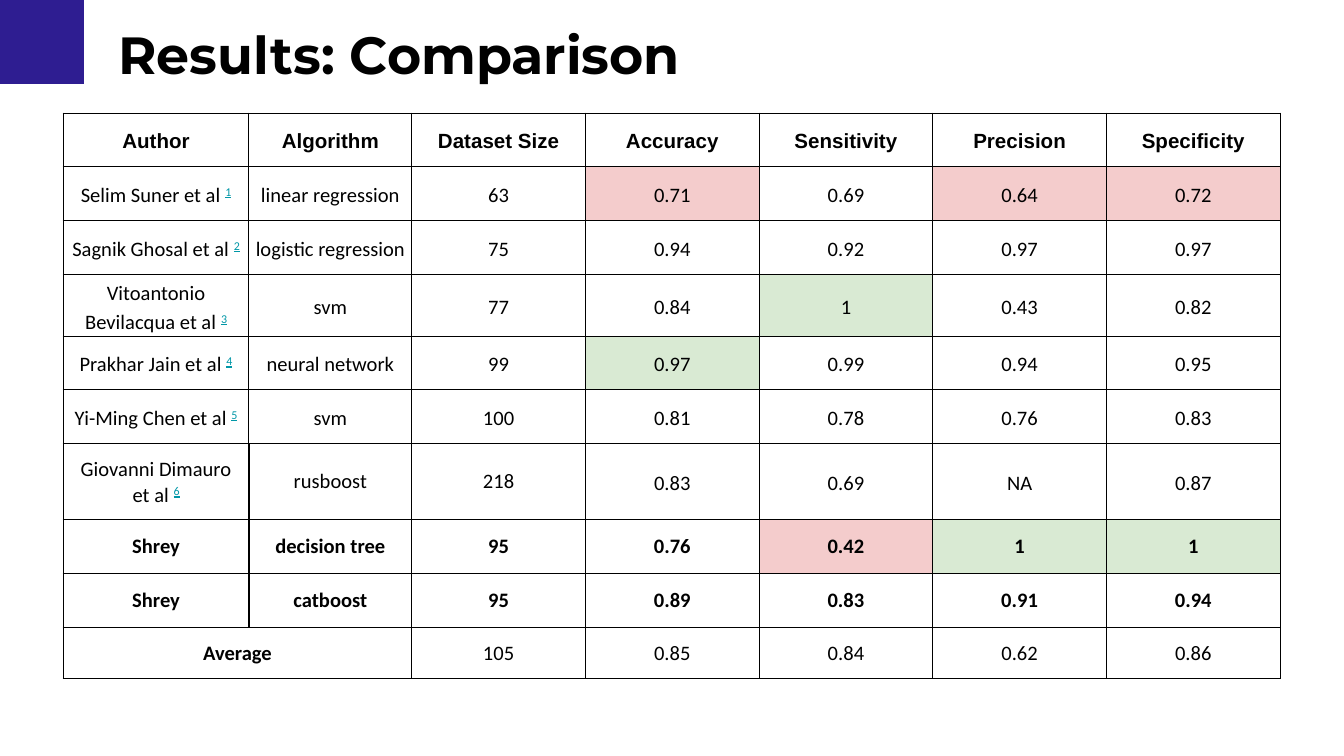
import pptx
import pptx.util
import pptx.dml.color
import pptx.enum.shapes
import pptx.enum.text
import pptx.oxml
import lxml.etree

Inches = pptx.util.Inches
Pt = pptx.util.Pt
RGBColor = pptx.dml.color.RGBColor

BLACK = RGBColor(0x00, 0x00, 0x00)
INDIGO = RGBColor(0x2E, 0x1D, 0x91)
TEAL = RGBColor(0x00, 0x97, 0xA7)
RED = RGBColor(0xF4, 0xCC, 0xCC)
GREEN = RGBColor(0xD9, 0xEA, 0xD3)

WIDTH = Inches(10)
HEIGHT = WIDTH * 9 // 16
COLS = [1.38, 1.21] + [1.29] * 5
ROWS = [0.4, 0.4, 0.4, 0.43, 0.4, 0.4, 0.55, 0.4, 0.4, 0.38]

RESULTS = [
    ["Author", "Algorithm", "Dataset Size", "Accuracy", "Sensitivity", "Precision", "Specificity"],
    ["Selim Suner et al ", "linear regression", "63", "0.71", "0.69", "0.64", "0.72"],
    ["Sagnik Ghosal et al ", "logistic regression", "75", "0.94", "0.92", "0.97", "0.97"],
    ["Vitoantonio Bevilacqua et al ", "svm", "77", "0.84", "1", "0.43", "0.82"],
    ["Prakhar Jain et al ", "neural network", "99", "0.97", "0.99", "0.94", "0.95"],
    ["Yi-Ming Chen et al ", "svm", "100", "0.81", "0.78", "0.76", "0.83"],
    ["Giovanni Dimauro et al ", "rusboost", "218", "0.83", "0.69", "NA", "0.87"],
    ["Shrey", "decision tree", "95", "0.76", "0.42", "1", "1"],
    ["Shrey", "catboost", "95", "0.89", "0.83", "0.91", "0.94"],
    ["Average", "", "105", "0.85", "0.84", "0.62", "0.86"],
]
HIGHLIGHTS = {
    (1, 3): RED, (1, 5): RED, (1, 6): RED, (7, 4): RED,
    (3, 4): GREEN, (4, 3): GREEN, (7, 5): GREEN, (7, 6): GREEN,
}
CITED_ROWS = range(1, 7)
BOLD_ROWS = (0, 7, 8)
LAST = len(RESULTS) - 1


def style(r, name, size, bold, color=BLACK):
    r.font.name = name
    r.font.size = Pt(size)
    r.font.bold = bold
    r.font.color.rgb = color


def add_corner(s, box):
    sp = s.shapes.add_shape(pptx.enum.shapes.MSO_SHAPE.RECTANGLE, *box)
    sp.shadow.inherit = False
    sp.fill.solid()
    sp.fill.fore_color.rgb = INDIGO
    sp.line.fill.background()


def add_title(s, box):
    sp = s.shapes.add_textbox(*box)
    tf = sp.text_frame
    tf.word_wrap = True
    tf.margin_left = tf.margin_right = tf.margin_top = tf.margin_bottom = Inches(0.1)
    p = tf.paragraphs[0]
    p.text = "Results: Comparison"
    style(p.runs[0], "Montserrat", 28, True)


def set_borders(cell, widths):
    tcPr = cell._tc.get_or_add_tcPr()
    for side, width in zip("LRTB", widths):
        ln = lxml.etree.SubElement(tcPr, pptx.oxml.ns.qn(f"a:ln{side}"), w=str(Pt(width)))
        fill = lxml.etree.SubElement(ln, pptx.oxml.ns.qn("a:solidFill"))
        lxml.etree.SubElement(fill, pptx.oxml.ns.qn("a:srgbClr"), val=str(BLACK))


def fill_cell(cell, row, col):
    roomy = row > 6 or (row == 6 and col < 3)
    side = 0.75 if roomy else 0.6
    set_borders(cell, (side, side, 0.75 if row > 7 else 0.6, 0.75 if row > 6 else 0.6))
    if (row, col) in HIGHLIGHTS:
        cell.fill.solid()
        cell.fill.fore_color.rgb = HIGHLIGHTS[row, col]
    else:
        cell.fill.background()
    cell.vertical_anchor = pptx.enum.text.MSO_ANCHOR.MIDDLE
    cell.margin_left = cell.margin_right = Inches(0.1 if roomy else 0.03)
    cell.margin_top = cell.margin_bottom = Inches(0.1 if roomy else 0.02)

    p = cell.text_frame.paragraphs[0]
    p.text = RESULTS[row][col]
    p.alignment = pptx.enum.text.PP_ALIGN.CENTER
    p.line_spacing = 1.0 if roomy else 1.15
    font = "Calibri" if row else "Arial"
    bold = row in BOLD_ROWS or (row == LAST and col == 0)
    for r in p.runs:
        style(r, font, 11, bold)
    if col == 0 and row in CITED_ROWS:
        r = p.add_run()
        r.text = str(row)
        style(r, font, 11, bold, TEAL)
        r.font.underline = True
        r._r.get_or_add_rPr().set("baseline", "30000")


def add_results(s, box):
    left, top, width, height = box
    table = s.shapes.add_table(len(ROWS), len(COLS), left, top, width, height).table
    table.first_row = table.horz_banding = False
    for column, share in zip(table.columns, COLS):
        column.width = int(width * share / sum(COLS))
    for line, share in zip(table.rows, ROWS):
        line.height = int(height * share / sum(ROWS))
    table.cell(LAST, 0).merge(table.cell(LAST, 1))
    for row in range(len(ROWS)):
        for col in range(len(COLS)):
            if not table.cell(row, col).is_spanned:
                fill_cell(table.cell(row, col), row, col)


def percent_box(left, top, width, height):
    shares = zip((left, top, width, height), (WIDTH, HEIGHT) * 2)
    return [int(share * full / 100) for share, full in shares]


def main():
    prs = pptx.Presentation()
    prs.slide_width = WIDTH
    prs.slide_height = HEIGHT
    s = prs.slides.add_slide(prs.slide_layouts[6])
    add_corner(s, percent_box(0, 0, 6.25, 11.11))
    add_title(s, percent_box(7.83, 1.15, 84.4, 11.9))
    add_results(s, percent_box(4.7, 14.95, 90.55, 73.95))
    prs.save("out.pptx")


if __name__ == "__main__":
    main()
